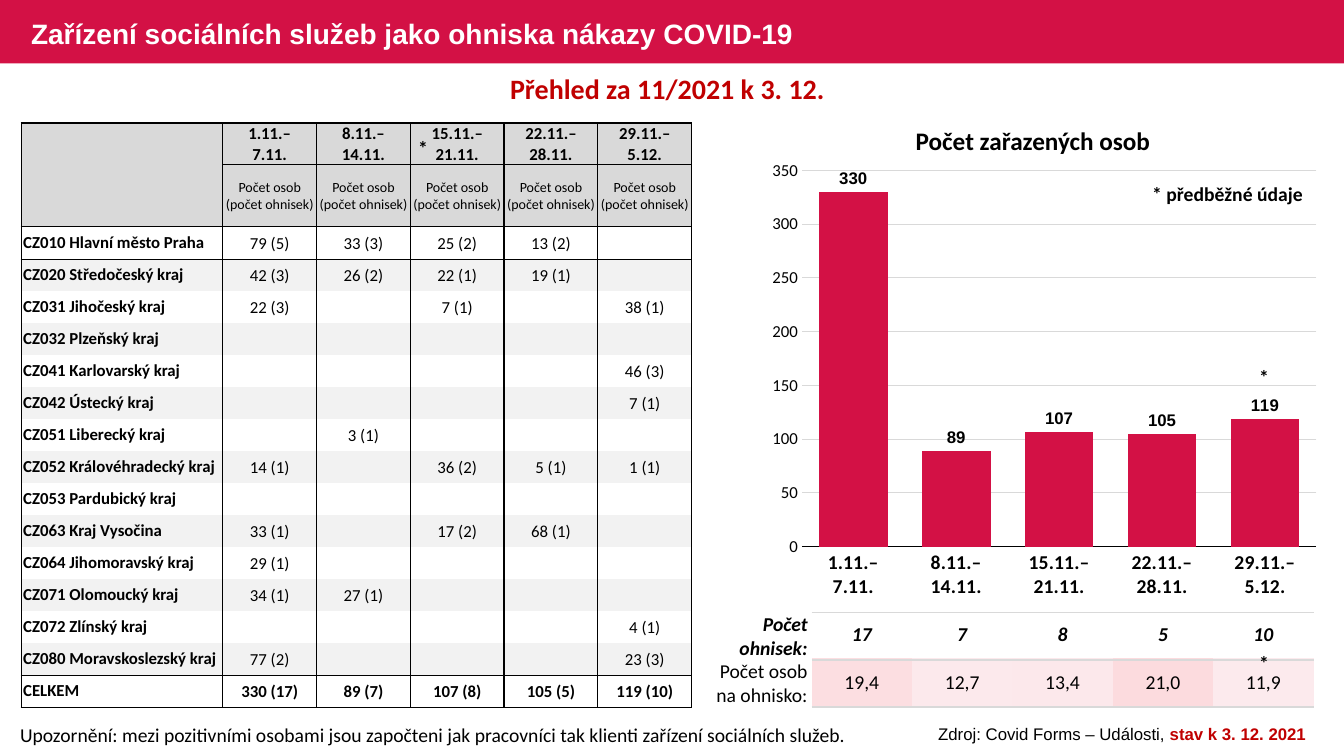
from pptx import Presentation
from pptx.chart.data import CategoryChartData
from pptx.dml.color import RGBColor
from pptx.enum.chart import XL_CHART_TYPE, XL_LABEL_POSITION, XL_TICK_MARK
from pptx.enum.shapes import MSO_SHAPE
from pptx.enum.text import MSO_ANCHOR, MSO_AUTO_SIZE, PP_ALIGN
from pptx.oxml import parse_xml
from pptx.oxml.ns import nsdecls, qn
from pptx.util import Inches, Pt

COLORS = {
    "crimson": "D31145", "red": "C00000", "black": "000000", "white": "FFFFFF",
    "header": "D9D9D9", "stripe": "F2F2F2", "grid": "D9D9D9",
    "share1": "FCDEE1", "share2": "FCE9EC", "share3": "FCE8EB",
    "share4": "FCDBDE", "share5": "FCEAED",
}
PLAIN_TABLE_STYLE = "{2D5ABB26-0587-4C30-8999-92F81FD0307C}"
VALUE_INSETS = (0.01, 0.01, 0.01, 0)
REGION_INSETS = (0.02, 0, 0.02, 0)
LABEL_INSETS = (0.01, 0, 0.04, 0)

WEEKS = ["1.11.–\n7.11.", "8.11.–\n14.11.", "15.11.–\n21.11.",
         "22.11.–\n28.11.", "29.11.–\n5.12."]
PERSONS = [330, 89, 107, 105, 119]
REGIONS = [
    ("CZ010 Hlavní město Praha", "79 (5)", "33 (3)", "25 (2)", "13 (2)", ""),
    ("CZ020 Středočeský kraj", "42 (3)", "26 (2)", "22 (1)", "19 (1)", ""),
    ("CZ031 Jihočeský kraj", "22 (3)", "", "7 (1)", "", "38 (1)"),
    ("CZ032 Plzeňský kraj", "", "", "", "", ""),
    ("CZ041 Karlovarský kraj", "", "", "", "", "46 (3)"),
    ("CZ042 Ústecký kraj", "", "", "", "", "7 (1)"),
    ("CZ051 Liberecký kraj", "", "3 (1)", "", "", ""),
    ("CZ052 Královéhradecký kraj", "14 (1)", "", "36 (2)", "5 (1)", "1 (1)"),
    ("CZ053 Pardubický kraj", "", "", "", "", ""),
    ("CZ063 Kraj Vysočina", "33 (1)", "", "17 (2)", "68 (1)", ""),
    ("CZ064 Jihomoravský kraj", "29 (1)", "", "", "", ""),
    ("CZ071 Olomoucký kraj", "34 (1)", "27 (1)", "", "", ""),
    ("CZ072 Zlínský kraj", "", "", "", "", "4 (1)"),
    ("CZ080 Moravskoslezský kraj", "77 (2)", "", "", "", "23 (3)"),
    ("CELKEM", "330 (17)", "89 (7)", "107 (8)", "105 (5)", "119 (10)"),
]
OUTBREAKS = ["17", "7", "8", "5", "10"]
PERSONS_PER_OUTBREAK = ["19,4", "12,7", "13,4", "21,0", "11,9"]


class SlideBuilder:
    def __init__(self, page):
        self.page = page
        self.base = {"name": "Calibri", "size": 14, "bold": False,
                     "italic": False, "color": "black"}

    def style_font(self, font, **changes):
        style = {**self.base, **changes}
        font.color.rgb = RGBColor.from_string(COLORS[style.pop("color")])
        style["size"] = Pt(style["size"])
        for key, value in style.items():
            setattr(font, key, value)

    def add_spans(self, para, text, **style):
        """Append text to a paragraph, turning newlines into line breaks."""
        for number, line in enumerate(text.split("\n")):
            if number:
                para.add_line_break()
            span = para.add_run()
            span.text = line
            self.style_font(span.font, **style)

    def band(self, left, top, width, height, color):
        shape = self.page.shapes.add_shape(
            MSO_SHAPE.RECTANGLE, *map(Inches, (left, top, width, height)))
        shape.shadow.inherit = False
        shape.fill.solid()
        shape.fill.fore_color.rgb = RGBColor.from_string(COLORS[color])
        shape.line.fill.background()

    def text(self, area, *spans, align=PP_ALIGN.LEFT, wrap=True,
             anchor=MSO_ANCHOR.TOP, fit=MSO_AUTO_SIZE.SHAPE_TO_FIT_TEXT):
        """Add a text box from (text, style) spans."""
        box = self.page.shapes.add_textbox(*map(Inches, area))
        frame = box.text_frame
        frame.word_wrap, frame.auto_size, frame.vertical_anchor = wrap, fit, anchor
        para = frame.paragraphs[0]
        para.alignment = align
        for content, style in spans:
            self.add_spans(para, content, **style)

    def table(self, left, top, widths, heights):
        size = map(Inches, (left, top, sum(widths), sum(heights)))
        table = self.page.shapes.add_table(len(heights), len(widths), *size).table
        table.first_row = table.horz_banding = False
        table._tbl.tblPr.find(qn("a:tableStyleId")).text = PLAIN_TABLE_STYLE
        for column, width in zip(table.columns, widths):
            column.width = Inches(width)
        for row, height in zip(table.rows, heights):
            row.height = Inches(height)
        return table

    def cell(self, cell, text="", fill=None, align=PP_ALIGN.CENTER,
             insets=VALUE_INSETS, borders=None, line="black", **style):
        """Fill one cell; borders maps L, T, R, B to a width in points."""
        sides = ("margin_left", "margin_top", "margin_right", "margin_bottom")
        for side, inset in zip(sides, insets):
            setattr(cell, side, Inches(inset))
        cell.vertical_anchor = MSO_ANCHOR.MIDDLE
        para = cell.text_frame.paragraphs[0]
        para.alignment = align
        if text:
            self.add_spans(para, text, **style)
        if fill:
            cell.fill.solid()
            cell.fill.fore_color.rgb = RGBColor.from_string(COLORS[fill])
        else:
            cell.fill.background()
        drawn = [(side, (borders or {}).get(side)) for side in "LRTB"]
        for place, (side, width) in enumerate(pair for pair in drawn if pair[1]):
            cell._tc.tcPr.insert(place, parse_xml(
                f'<a:ln{side} {nsdecls("a")} w="{Pt(width)}"><a:solidFill>'
                f'<a:srgbClr val="{COLORS[line]}"/></a:solidFill></a:ln{side}>'))

    def column_chart(self, area, categories, values, plot_area):
        data = CategoryChartData()
        data.categories = categories
        data.add_series("Počet osob", values)
        chart = self.page.shapes.add_chart(
            XL_CHART_TYPE.COLUMN_CLUSTERED, *map(Inches, area), data).chart
        chart.has_legend = chart.has_title = False
        self.style_font(chart.font, name="Arial", bold=True)
        plot = chart.plots[0]
        plot.gap_width, plot.vary_by_categories = 50, False
        bars = plot.series[0].format.fill
        bars.solid()
        bars.fore_color.rgb = RGBColor.from_string(COLORS["crimson"])
        plot.has_data_labels = True
        labels = plot.data_labels
        labels.show_value, labels.position = True, XL_LABEL_POSITION.OUTSIDE_END
        self.style_font(labels.font, name="Arial", size=12, bold=True)

        weeks, persons = chart.category_axis, chart.value_axis
        self.style_font(weeks.tick_labels.font, bold=True)
        self.style_font(persons.tick_labels.font, size=12)
        for axis in (weeks, persons):
            axis.major_tick_mark = axis.minor_tick_mark = XL_TICK_MARK.NONE
        persons.minimum_scale, persons.maximum_scale, persons.major_unit = 0, 350, 50
        persons.format.line.fill.background()
        persons.has_major_gridlines = True
        for line, color in ((weeks.format.line, "black"),
                            (persons.major_gridlines.format.line, "grid")):
            line.color.rgb = RGBColor.from_string(COLORS[color])
            line.width = Pt(0.75)

        plot_xml = chart._chartSpace.chart.plotArea
        for layout in plot_xml.findall(qn("c:layout")):
            plot_xml.remove(layout)
        sizes = "".join(f'<c:{key} val="{value}"/>'
                        for key, value in zip("xywh", plot_area))
        plot_xml.insert(0, parse_xml(
            f'<c:layout {nsdecls("c")}><c:manualLayout><c:layoutTarget val="inner"/>'
            f'<c:xMode val="edge"/><c:yMode val="edge"/>{sizes}'
            '</c:manualLayout></c:layout>'))


def add_outbreak_values(builder):
    table = builder.table(8.05, 6.06, [4.98 / 5] * 5, [0.47] * 2)
    for col, (count, share) in enumerate(zip(OUTBREAKS, PERSONS_PER_OUTBREAK)):
        builder.cell(table.cell(0, col), count, bold=True, italic=True)
        builder.cell(table.cell(1, col), share, fill=f"share{col + 1}")


def add_outbreak_labels(builder):
    table = builder.table(7.04, 6.08, [1.01] + [4.98 / 7] * 7, [0.46] * 2)
    for row, label in enumerate(("Počet ohnisek:", "Počet osob na ohnisko:")):
        builder.cell(table.cell(row, 0), label, align=PP_ALIGN.RIGHT,
                     insets=LABEL_INSETS, bold=row == 0, italic=row == 0)
        for col in range(1, 8):
            builder.cell(table.cell(row, col), borders={"T": 1, "B": 1}, line="grid")


def add_region_table(builder):
    rows = [("", *WEEKS), ("",) + ("Počet osob (počet ohnisek)",) * 5, *REGIONS]
    body_height = (5.8 - 0.41 - 0.62) / len(REGIONS)
    table = builder.table(0.21, 1.22, [2] + [0.93] * 5,
                          [0.41, 0.62] + [body_height] * len(REGIONS))
    last = len(rows) - 1
    edges = {0: 1, 1: 1, 2: 0.5, last: 1, last + 1: 1}
    for row, texts in enumerate(rows):
        fill = "header" if row < 2 else "stripe" if row % 2 else None
        for col, text in enumerate(texts):
            lines = {**edges, 1: 1 if col else None}
            builder.cell(
                table.cell(row, col), text, fill=fill,
                align=PP_ALIGN.CENTER if col else PP_ALIGN.LEFT,
                insets=VALUE_INSETS if col else REGION_INSETS,
                borders={"L": 1, "R": 1, "T": lines.get(row), "B": lines.get(row + 1)},
                size=10 if row == 1 else 12, bold=row in (0, last) or col == 0)


def main():
    deck = Presentation()
    deck.slide_width, deck.slide_height = Inches(13.33), Inches(7.5)
    builder = SlideBuilder(deck.slides.add_slide(deck.slide_layouts[6]))
    bold = {"bold": True}

    builder.band(0, 0, 13.33, 0.63, "crimson")
    add_outbreak_values(builder)
    builder.text((0.1, 7.12, 8.52, 0.34), (
        "Upozornění: mezi pozitivními osobami jsou započteni jak pracovníci "
        "tak klienti zařízení sociálních služeb.", {}))
    builder.text((0.21, 0.02, 8.13, 0.63), (
        "Zařízení sociálních služeb jako ohniska nákazy COVID-19",
        {"name": "Arial", "size": 20, "bold": True, "color": "white"}),
        anchor=MSO_ANCHOR.MIDDLE, fit=MSO_AUTO_SIZE.NONE)
    source = {"name": "Arial", "size": 12}
    builder.text((9.03, 7.13, 4.2, 0.3),
                 ("Zdroj: Covid Forms – Události, ", source),
                 ("stav k 3. 12. 2021", {**source, "color": "red", "bold": True}),
                 align=PP_ALIGN.CENTER)
    builder.text((0.21, 0.66, 12.82, 0.44), (
        "Přehled za 11/2021 k 3. 12.", {"size": 20, "color": "red", "bold": True}),
        align=PP_ALIGN.CENTER)
    add_region_table(builder)
    builder.column_chart((7.56, 1.51, 5.61, 4.55), WEEKS, PERSONS,
                         (0.07, 0.04, 0.91, 0.82))
    builder.text((7.56, 1.19, 5.37, 0.4),
                 ("Počet zařazených osob", {"size": 18, "bold": True}),
                 align=PP_ALIGN.CENTER)
    add_outbreak_labels(builder)
    builder.text((11.33, 1.76, 1.7, 0.34), ("* předběžné údaje", bold), wrap=False)
    for left, top in ((12.39, 3.57), (12.39, 6.41), (4.05, 1.3)):
        builder.text((left, top, 0.3, 0.34), ("*", bold), wrap=False)
    deck.save("out.pptx")


if __name__ == "__main__":
    main()
